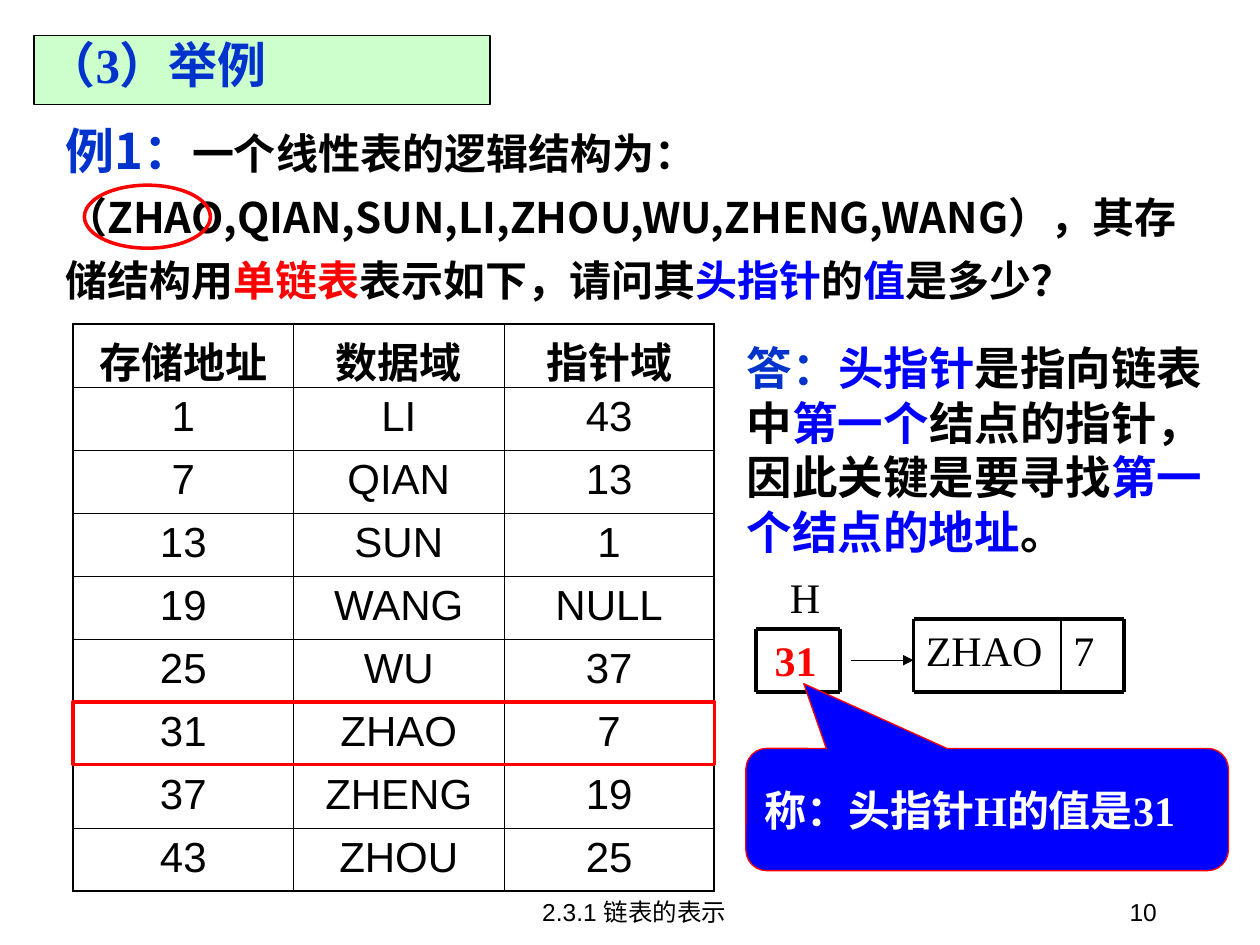
from dataclasses import dataclass
from lxml.etree import SubElement
from pptx import Presentation
from pptx.dml.color import RGBColor
from pptx.enum.shapes import MSO_CONNECTOR, MSO_SHAPE
from pptx.enum.text import MSO_ANCHOR, MSO_AUTO_SIZE, PP_ALIGN
from pptx.oxml.ns import qn
from pptx.util import Inches, Pt


@dataclass(frozen=True)
class Theme:
    """Colours, fonts, type sizes and line widths."""
    black: str = "000000"
    white: str = "FFFFFF"
    navy: str = "0033CC"
    blue: str = "0000FF"
    red: str = "FF0000"
    mint: str = "CCFFCC"
    sans: str = "Arial"
    serif: str = "Times New Roman"
    han: str = "Noto Sans CJK SC"
    head: int = 28
    answer: int = 26
    body: int = 24
    foot: int = 14
    bold: float = 2.25
    edge: float = 1.08
    thin: float = 0.75
    hair: float = 0.45


T = Theme()

TITLE = "（3）举例"
QUERY = [
    ("例1：", T.navy, T.head),
    ("一个线性表的逻辑结构为：（ZHAO,QIAN,SUN,LI,ZHOU,WU,ZHENG,WANG），其存储结构用", T.black),
    ("单链表", T.red), ("表示如下，请问其", T.black), ("头指针", T.blue),
    ("的", T.black), ("值", T.blue), ("是多少？", T.black),
]
REPLY = [
    ("答：", T.navy), ("头指针", T.blue), ("是指向链表中", T.black),
    ("第一个", T.blue), ("结点的指针，因此关键是要寻找", T.black),
    ("第一个结点的地址", T.blue), ("。", T.black),
]
ROWS = [
    ("存储地址", "数据域", "指针域"),
    ("1", "LI", "43"), ("7", "QIAN", "13"), ("13", "SUN", "1"),
    ("19", "WANG", "NULL"), ("25", "WU", "37"), ("31", "ZHAO", "7"),
    ("37", "ZHENG", "19"), ("43", "ZHOU", "25"),
]
FIRST = 6
COLS = (1.75, 1.67, 1.67)
LEFT, TOP, STEP = 0.58, 2.57, 0.5
# text, box, font, size, colour, bold, alignment, anchor
LABELS = [
    ("7", (8.42, 4.91, 0.5, 0.57), T.serif, T.body, T.black, False, PP_ALIGN.LEFT, MSO_ANCHOR.TOP),
    ("ZHAO", (7.25, 4.91, 1.17, 0.57), T.serif, T.body, T.black, False, PP_ALIGN.LEFT, MSO_ANCHOR.TOP),
    ("H", (6.17, 4.49, 0.44, 0.5), T.serif, T.body, T.black, False, PP_ALIGN.LEFT, MSO_ANCHOR.TOP),
    ("31", (6.05, 4.99, 0.53, 0.5), T.serif, T.body, T.red, True, PP_ALIGN.LEFT, MSO_ANCHOR.TOP),
    ("2.3.1 链表的表示", (3.45, 6.9, 3.17, 0.5), T.sans, T.foot, T.black, False, PP_ALIGN.CENTER, MSO_ANCHOR.BOTTOM),
    ("10", (7.2, 6.9, 2.08, 0.5), T.sans, T.foot, T.black, False, PP_ALIGN.RIGHT, MSO_ANCHOR.BOTTOM),
]
FRAMES = [(6, 4.99, 6.67, 5.49), (7.25, 4.91, 8.92, 5.49)]
CALL = "称：头指针H的值是31"


def inch(box):
    """Turn a tuple of numbers into lengths."""
    return [Inches(n) for n in box]


def rgb(code):
    """Turn a hex code into a colour."""
    return RGBColor.from_string(code)


def style(par, face, size, color, bold=False, align=PP_ALIGN.LEFT):
    """Set the font and alignment of a paragraph."""
    font = par.font
    font.name, font.size, font.bold = face, Pt(size), bold
    font.color.rgb = rgb(color)
    par.alignment = align
    props = par._p.pPr.find(qn("a:defRPr"))
    latin = props.find(qn("a:latin"))
    east = SubElement(props, qn("a:ea"), typeface=T.han)
    latin.addnext(east)


def paint(shape, fill, line, width):
    """Fill and outline a shape without a shadow."""
    shape.shadow.inherit = False
    if fill:
        shape.fill.solid()
        shape.fill.fore_color.rgb = rgb(fill)
    else:
        shape.fill.background()
    shape.line.color.rgb = rgb(line)
    shape.line.width = Pt(width)


def note(slide, box, anchor=MSO_ANCHOR.TOP):
    """Add a wrapping text box and return its paragraph."""
    frame = slide.shapes.add_textbox(*inch(box)).text_frame
    frame.word_wrap = True
    frame.vertical_anchor = anchor
    return frame.paragraphs[0]


def prose(par, parts, size):
    """Write coloured runs into a bold paragraph."""
    style(par, T.han, size, T.black, True)
    for text, color, *own in parts:
        run = par.add_run()
        run.text = text
        run.font.color.rgb = rgb(color)
        if own:
            run.font.size = Pt(own[0])


def rule(slide, ends, width, arrow=False):
    """Draw a straight line, with an arrowhead if asked."""
    line = slide.shapes.add_connector(MSO_CONNECTOR.STRAIGHT, *inch(ends))
    line.line.color.rgb = rgb(T.black)
    line.line.width = Pt(width)
    if arrow:
        SubElement(line.line._get_or_add_ln(), qn("a:tailEnd"), type="triangle")
    SubElement(line._element.spPr, qn("a:effectLst"))


def border(cell, widths):
    """Set the left, right, top and bottom borders of a cell."""
    props = cell._tc.get_or_add_tcPr()
    for spot, (side, width) in enumerate(zip("LRTB", widths)):
        line = SubElement(props, qn("a:ln" + side), w=str(Pt(width)))
        fill = SubElement(line, qn("a:solidFill"))
        SubElement(fill, qn("a:srgbClr"), val=T.black)
        props.insert(spot, line)


def grid(slide):
    """Build the storage table."""
    size = (LEFT, TOP, sum(COLS), STEP * len(ROWS))
    table = slide.shapes.add_table(len(ROWS), len(COLS), *inch(size)).table
    table.first_row = table.horz_banding = False
    for col, width in zip(table.columns, COLS):
        col.width = Inches(width)
    for r, row in enumerate(ROWS):
        for c, text in enumerate(row):
            cell = table.cell(r, c)
            cell.text = text
            cell.fill.background()
            par = cell.text_frame.paragraphs[0]
            style(par, T.sans, T.body, T.black, r == 0, PP_ALIGN.CENTER)
            par.space_before = Pt(6)
            outer = (c == 0, c == len(COLS) - 1, r == 0, r == len(ROWS) - 1)
            border(cell, [T.edge if out else T.hair for out in outer])


def main():
    """Build and save the slide."""
    deck = Presentation()
    deck.slide_width, deck.slide_height = Inches(10), Inches(7.5)
    slide = deck.slides.add_slide(deck.slide_layouts[5])
    shapes = slide.shapes

    title = shapes.title
    title.left, title.top, title.width, title.height = inch((0.27, 0.28, 3.62, 0.55))
    title.fill.solid()
    title.fill.fore_color.rgb = rgb(T.mint)
    title.line.color.rgb = rgb(T.black)
    title.line.width = Pt(T.thin)
    frame = title.text_frame
    frame.text = TITLE
    frame.auto_size = MSO_AUTO_SIZE.NONE
    frame.vertical_anchor = MSO_ANCHOR.TOP
    par = frame.paragraphs[0]
    style(par, T.serif, T.head, T.navy, True)
    par.line_spacing = 0.9

    par = note(slide, (0.42, 0.79, 9.25, 1.69))
    prose(par, QUERY, T.body)
    par.line_spacing = 1.25
    grid(slide)
    marks = [
        (MSO_SHAPE.RECTANGLE, (LEFT, TOP + FIRST * STEP, sum(COLS), STEP)),
        (MSO_SHAPE.OVAL, (0.67, 1.47, 1, 0.5)),
    ]
    for kind, box in marks:
        paint(shapes.add_shape(kind, *inch(box)), None, T.red, 2)
    prose(note(slide, (5.83, 2.65, 3.97, 1.84)), REPLY, T.answer)

    for text, box, face, size, color, bold, align, anchor in LABELS:
        par = note(slide, box, anchor)
        par.text = text
        style(par, face, size, color, bold, align)
    for x1, y1, x2, y2 in FRAMES:
        for ends in ((x1, y1, x2, y1), (x1, y2, x2, y2), (x1, y1, x1, y2), (x2, y1, x2, y2)):
            rule(slide, ends, T.bold)
    rule(slide, (8.42, 4.91, 8.42, 5.49), 1)
    rule(slide, (6.75, 5.24, 7.25, 5.24), T.thin, True)

    call = shapes.add_shape(MSO_SHAPE.ROUNDED_RECTANGULAR_CALLOUT, *inch((5.92, 5.94, 3.83, 0.97)))
    for spot, value in enumerate((-0.38, -1.03, 0.17)):
        call.adjustments[spot] = value
    paint(call, T.blue, T.red, T.thin)
    frame = call.text_frame
    frame.word_wrap = True
    frame.vertical_anchor = MSO_ANCHOR.MIDDLE
    par = frame.paragraphs[0]
    par.text = CALL
    style(par, T.serif, T.body, T.white, True)
    par.space_before = Pt(6)

    deck.save("out.pptx")


main()
